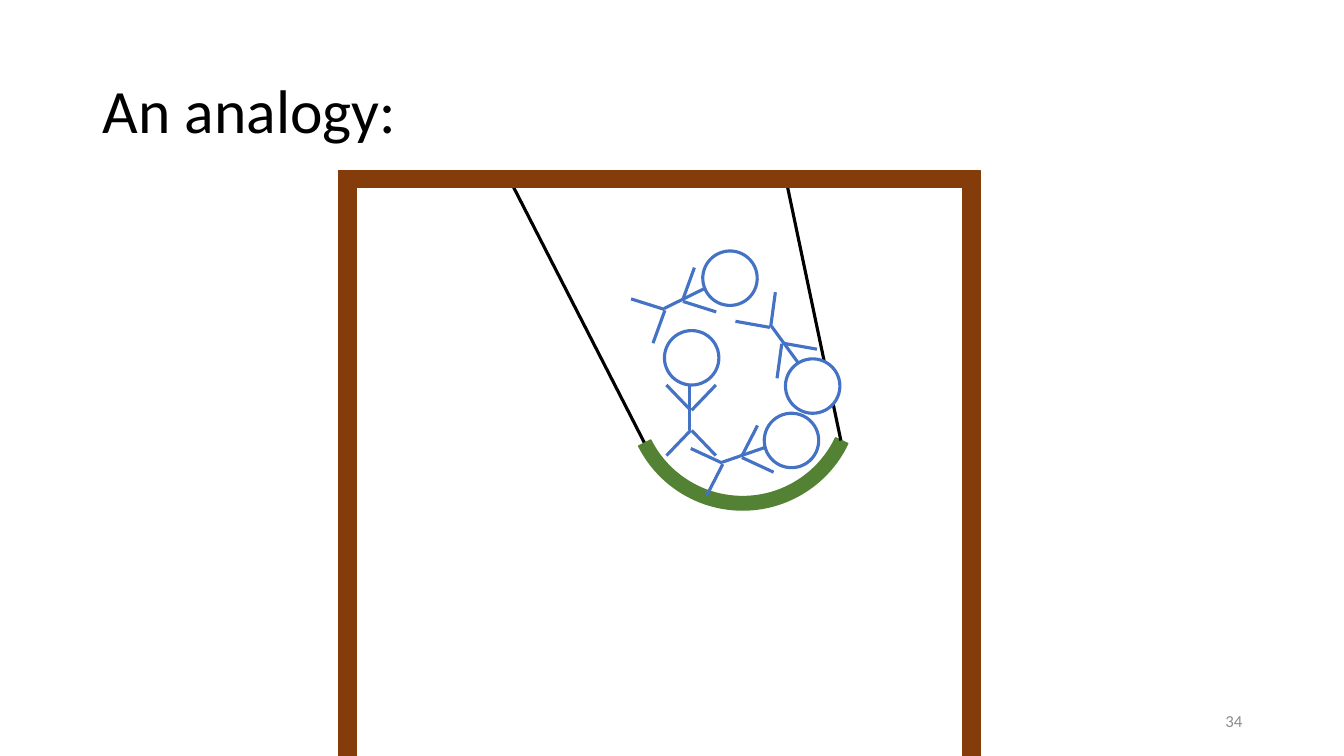
from math import cos, radians, sin

from lxml.etree import SubElement
from pptx import Presentation
from pptx.dml.color import RGBColor
from pptx.enum.shapes import MSO_CONNECTOR as Link, MSO_SHAPE as Kind
from pptx.enum.text import MSO_ANCHOR as Anchor, MSO_AUTO_SIZE as Fit, PP_ALIGN as Align
from pptx.oxml.ns import qn
from pptx.util import Inches, Pt

COLORS = {
    "ink": "000000",
    "gray": "8C8C8C",
    "wood": "843C0B",
    "seat": "548235",
    "child": "4472C4",
    "paper": "FFFFFF",
}
HEAD = 0.54
LIMBS = [
    ((-0.02, 0.26), (-0.02, 0.72)),
    ((0, 0.72), (0.24, 0.97)),
    ((-0.01, 0.72), (-0.25, 0.97)),
    ((0, 0.52), (0.24, 0.27)),
    ((-0.01, 0.52), (-0.25, 0.27)),
]
CHILDREN = [
    (6.86, 3.55, 0),
    (7.85, 4.37, 71),
    (8.06, 3.83, 143.9),
    (7.24, 2.76, 63.7),
]
ROPES = [((6.39, 4.39), (5.09, 1.85)), ((8.34, 4.37), (7.81, 1.85))]
BEAMS = [
    (3.36, 1.85, 0.17, 5.65),
    (9.55, 1.85, 0.17, 5.65),
    (3.36, 1.69, 6.36, 0.17),
]


def color(name):
    return RGBColor.from_string(COLORS[name])


def place(shape, box):
    shape.left, shape.top, shape.width, shape.height = map(Inches, box)


def write(shape, text, size, tint, align):
    frame = shape.text_frame
    frame.text = text
    frame.word_wrap = True
    frame.auto_size = Fit.NONE
    frame.vertical_anchor = Anchor.MIDDLE
    para = frame.paragraphs[0]
    para.alignment = align
    para.font.name = "Calibri"
    para.font.size = Pt(size)
    para.font.color.rgb = color(tint)
    return para


def add_form(shapes, kind, box, fill, line, width=1):
    form = shapes.add_shape(kind, *map(Inches, box))
    form.shadow.inherit = False
    form.fill.solid()
    form.fill.fore_color.rgb = color(fill)
    form.line.color.rgb = color(line)
    form.line.width = Pt(width)
    return form


def add_line(shapes, start, end, tint):
    line = shapes.add_connector(Link.STRAIGHT, *map(Inches, start + end))
    line.line.color.rgb = color(tint)
    line.line.width = Pt(2.25)
    SubElement(line._element.spPr, qn("a:effectLst"))


def turn(point, x, y, angle):
    dx, dy = point
    c, s = cos(radians(angle)), sin(radians(angle))
    return x + dx * c - dy * s, y + dx * s + dy * c


def add_child(slide, x, y, angle):
    shapes = slide.shapes.add_group_shape().shapes
    box = (x - HEAD / 2, y - HEAD / 2, HEAD, HEAD)
    head = add_form(shapes, Kind.OVAL, box, "paper", "child", 2.25)
    head.rotation = angle
    for start, end in LIMBS:
        add_line(shapes, turn(start, x, y, angle), turn(end, x, y, angle), "child")


def add_seat(slide):
    seat = add_form(slide.shapes, Kind.BLOCK_ARC, (6.21, 2.75, 2.31, 2.31), "seat", "seat")
    seat.rotation = 180
    for i, value in enumerate((123.227, 199.956, 0.058)):
        seat.adjustments[i] = value


def main():
    deck = Presentation()
    deck.slide_width, deck.slide_height = Inches(13.33), Inches(7.5)
    slide = deck.slides.add_slide(deck.slide_layouts[5])

    title = slide.shapes.title
    place(title, (0.92, 0.4, 11.5, 1.45))
    write(title, "An analogy:", 44, "ink", Align.LEFT).line_spacing = 0.9
    number = slide.shapes.add_textbox(*map(Inches, (9.42, 6.95, 3, 0.4)))
    write(number, "34", 12, "gray", Align.RIGHT)

    add_seat(slide)
    for start, end in ROPES:
        add_line(slide.shapes, start, end, "ink")
    for box in BEAMS:
        add_form(slide.shapes, Kind.RECTANGLE, box, "wood", "wood")
    for child in CHILDREN:
        add_child(slide, *child)

    deck.save("out.pptx")


if __name__ == "__main__":
    main()
